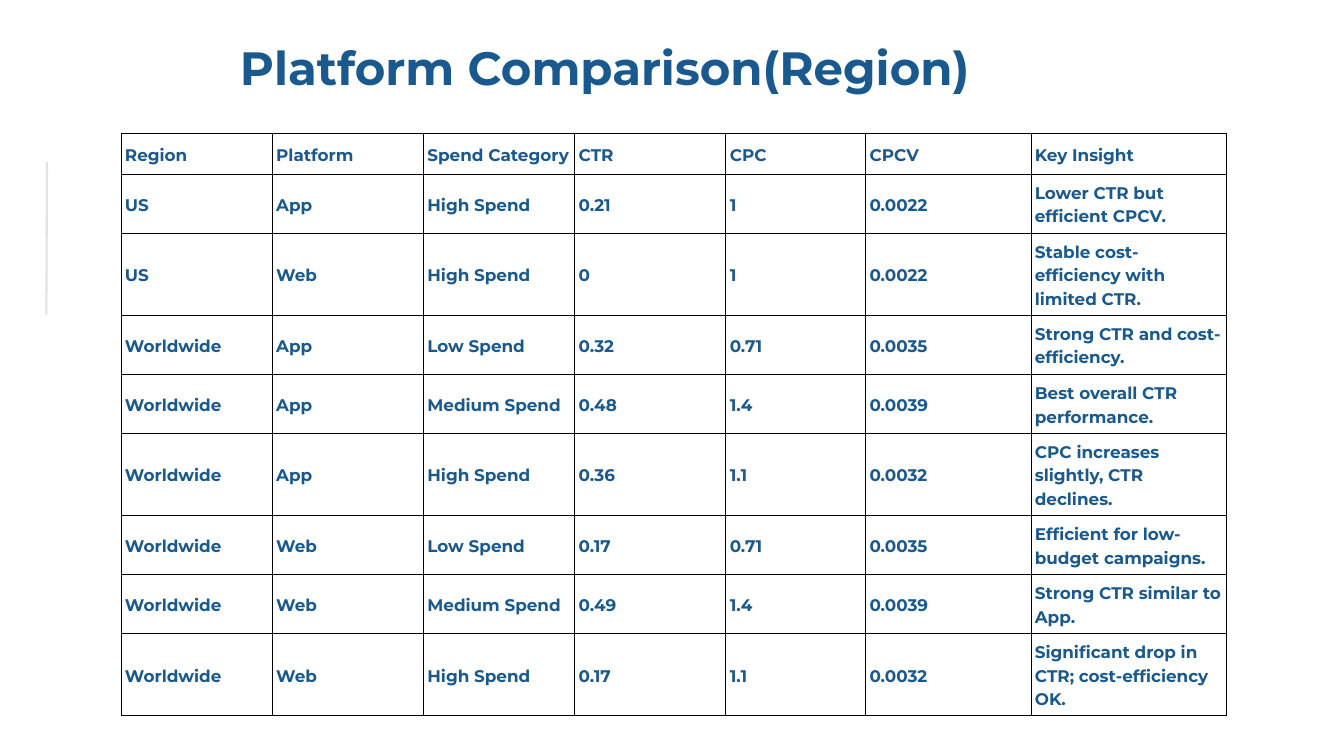
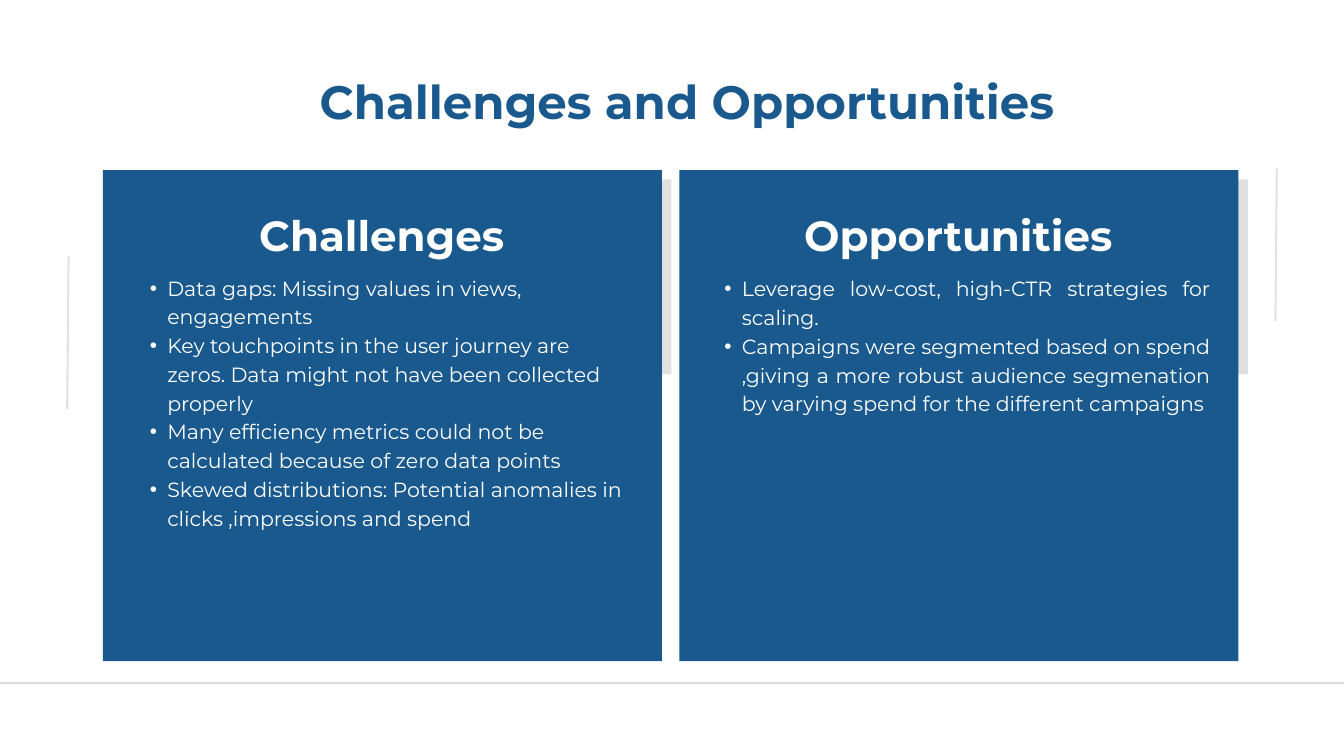
from lxml.etree import SubElement
from pptx import Presentation
from pptx.dml.color import RGBColor
from pptx.enum.shapes import MSO_CONNECTOR, MSO_SHAPE
from pptx.enum.text import MSO_ANCHOR, MSO_AUTO_SIZE, PP_ALIGN
from pptx.oxml import parse_xml
from pptx.oxml.ns import nsdecls, qn
from pptx.util import Pt

BLUE = RGBColor(0x19, 0x59, 0x8D)
WHITE = RGBColor(0xFF, 0xFF, 0xFF)
GREY = RGBColor(0xD9, 0xD9, 0xD9)
BLACK = RGBColor(0, 0, 0)
FONT = "Montserrat"

COLUMNS, ROWS = 20, 11.25
UNIT = 914400  # one square grid cell


def grid(*cells):
    """Turn grid cells into slide lengths."""
    return [round(cell * UNIT) for cell in cells]


def write(frame, *lines, size, spacing, color=BLUE, bold=True, align=None, bullet=None):
    """Fill a text frame with one paragraph for each line."""
    frame.word_wrap = True
    for number, line in enumerate(lines):
        paragraph = frame.add_paragraph() if number else frame.paragraphs[0]
        paragraph.line_spacing = Pt(spacing)
        paragraph.alignment = align
        run = paragraph.add_run()
        run.text = line
        run.font.name, run.font.size = FONT, Pt(size)
        run.font.bold, run.font.color.rgb = bold, color
        if bullet:
            paragraph.level = 1
            properties = paragraph._p.get_or_add_pPr()
            indent, = grid(0.26)
            properties.set("marL", str(2 * indent))
            properties.set("indent", str(-indent))
            SubElement(properties, qn("a:buFont"), typeface="Arial")
            SubElement(properties, qn("a:buChar"), char=bullet)


presentation = Presentation()
presentation.slide_width, presentation.slide_height = grid(COLUMNS, ROWS)
blank = presentation.slide_layouts[6]
region_slide = presentation.slides.add_slide(blank)
outlook_slide = presentation.slides.add_slide(blank)

# Grey rules: the side rules are translucent, the footer rule is solid
rules = [
    (region_slide, (0.69, 4.68, 0.7, 2.41), 75),
    (outlook_slide, (-0.31, 10.16, COLUMNS + 0.31, 10.16), 100),
    (outlook_slide, (18.98, 4.78, 19, 2.51), 75),
    (outlook_slide, (1, 6.09, 1.02, 3.82), 75),
]
for slide, ends, opacity in rules:
    rule = slide.shapes.add_connector(MSO_CONNECTOR.STRAIGHT, *grid(*ends))
    rule.line.width = Pt(2.25)
    rule.line.color.rgb = GREY
    rule_properties = rule._element.spPr
    if opacity < 100:
        rule_color = rule_properties.find(".//" + qn("a:srgbClr"))
        SubElement(rule_color, qn("a:alpha"), val=str(opacity * 1000))
    SubElement(rule_properties, qn("a:effectLst"))

# Region table
table_rows = [
    ("Region", "Platform", "Spend Category", "CTR", "CPC", "CPCV", "Key Insight"),
    ("US", "App", "High Spend", "0.21", "1", "0.0022", "Lower CTR but efficient CPCV."),
    ("US", "Web", "High Spend", "0", "1", "0.0022", "Stable cost-efficiency with limited CTR."),
    ("Worldwide", "App", "Low Spend", "0.32", "0.71", "0.0035", "Strong CTR and cost-efficiency."),
    ("Worldwide", "App", "Medium Spend", "0.48", "1.4", "0.0039", "Best overall CTR performance."),
    ("Worldwide", "App", "High Spend", "0.36", "1.1", "0.0032", "CPC increases slightly, CTR declines."),
    ("Worldwide", "Web", "Low Spend", "0.17", "0.71", "0.0035", "Efficient for low-budget campaigns."),
    ("Worldwide", "Web", "Medium Spend", "0.49", "1.4", "0.0039", "Strong CTR similar to App."),
    ("Worldwide", "Web", "High Spend", "0.17", "1.1", "0.0032",
     "Significant drop in CTR; cost-efficiency OK."),
]
column_widths = grid(*[2.25] * 4, 2.08, 2.46, 2.91)
row_heights = grid(0.6, 0.88, 1.22, 0.88, 0.88, 1.22, 0.88, 0.88, 1.22)
table = region_slide.shapes.add_table(
    len(row_heights), len(column_widths), *grid(1.8, 1.99),
    sum(column_widths), sum(row_heights)).table
table.first_row = table.horz_banding = False
for column, width in zip(table.columns, column_widths):
    column.width = width
for row, height, values in zip(table.rows, row_heights, table_rows):
    row.height = height
    for cell, value in zip(row.cells, values):
        cell.fill.background()
        cell.vertical_anchor = MSO_ANCHOR.MIDDLE
        inset, = grid(0.06)
        cell.margin_left = cell.margin_right = inset
        cell.margin_top = cell.margin_bottom = inset
        write(cell.text_frame, value, size=18, spacing=25.2)
        cell_properties = cell._tc.get_or_add_tcPr()
        for position, side in enumerate("LRTB"):
            cell_properties.insert(position, parse_xml(
                f'<a:ln{side} {nsdecls("a")} w="{Pt(0.75)}"><a:solidFill>'
                f'<a:srgbClr val="{BLACK}"/></a:solidFill></a:ln{side}>'))

# Cards with an offset shadow strip behind each
CARD_LEFT, CARD_TOP, CARD_WIDTH, CARD_HEIGHT = 1.53, 2.53, 8.32, 7.31
CARD_STEP, SHADOW_OFFSET = 8.58, 0.14
for index in range(2):
    left = CARD_LEFT + index * CARD_STEP
    for box, color, opacity in [
        ((left + SHADOW_OFFSET, CARD_TOP + SHADOW_OFFSET, CARD_WIDTH, 2.9), BLACK, 12),
        ((left, CARD_TOP, CARD_WIDTH, CARD_HEIGHT), BLUE, 100),
    ]:
        card = outlook_slide.shapes.add_shape(MSO_SHAPE.RECTANGLE, *grid(*box))
        card.shadow.inherit = False
        card.fill.solid()
        card.fill.fore_color.rgb = color
        card.line.fill.background()
        if opacity < 100:
            card_color = card._element.spPr.find(".//" + qn("a:srgbClr"))
            SubElement(card_color, qn("a:alpha"), val=str(opacity * 1000))

# Titles, card headings and bullet lists
title_style = dict(size=50, spacing=50)
heading_style = dict(size=45, spacing=63, color=WHITE, align=PP_ALIGN.CENTER)
list_style = dict(size=22, spacing=30.8, color=WHITE, bold=False, bullet="•")
challenges = [
    "Data gaps: Missing values in views, engagements",
    "Key touchpoints in the user journey are zeros. Data might not have been collected properly",
    "Many efficiency metrics could not be calculated because of zero data points",
    "Skewed distributions: Potential anomalies in clicks ,impressions and spend",
]
opportunities = [
    "Leverage low-cost, high-CTR strategies for scaling.",
    "Campaigns were segmented based on spend ,giving a more robust audience segmenation "
    "by varying spend for the different campaigns",
]
texts = [
    (region_slide, (3.57, 0.72, 18.2, 0.71), ["Platform Comparison(Region)"], title_style),
    (outlook_slide, (0.89, 1.23, 18.67, 0.72), ["Challenges and Opportunities"],
     dict(title_style, align=PP_ALIGN.CENTER)),
    (outlook_slide, (2.28, 3, 6.8, 0.83), ["Challenges"], heading_style),
    (outlook_slide, (2.28 + CARD_STEP, 3, 6.8, 0.83), ["Opportunities"], heading_style),
    (outlook_slide, (1.97, 4.04, 7.44, 3.82), challenges, list_style),
    (outlook_slide, (10.52, 4.05, 7.49, 2.97), opportunities,
     dict(list_style, align=PP_ALIGN.JUSTIFY)),
]
for slide, box, lines, style in texts:
    frame = slide.shapes.add_textbox(*grid(*box)).text_frame
    frame.margin_left = frame.margin_right = frame.margin_top = frame.margin_bottom = 0
    frame.auto_size = MSO_AUTO_SIZE.SHAPE_TO_FIT_TEXT
    write(frame, *lines, **style)

presentation.save("out.pptx")
